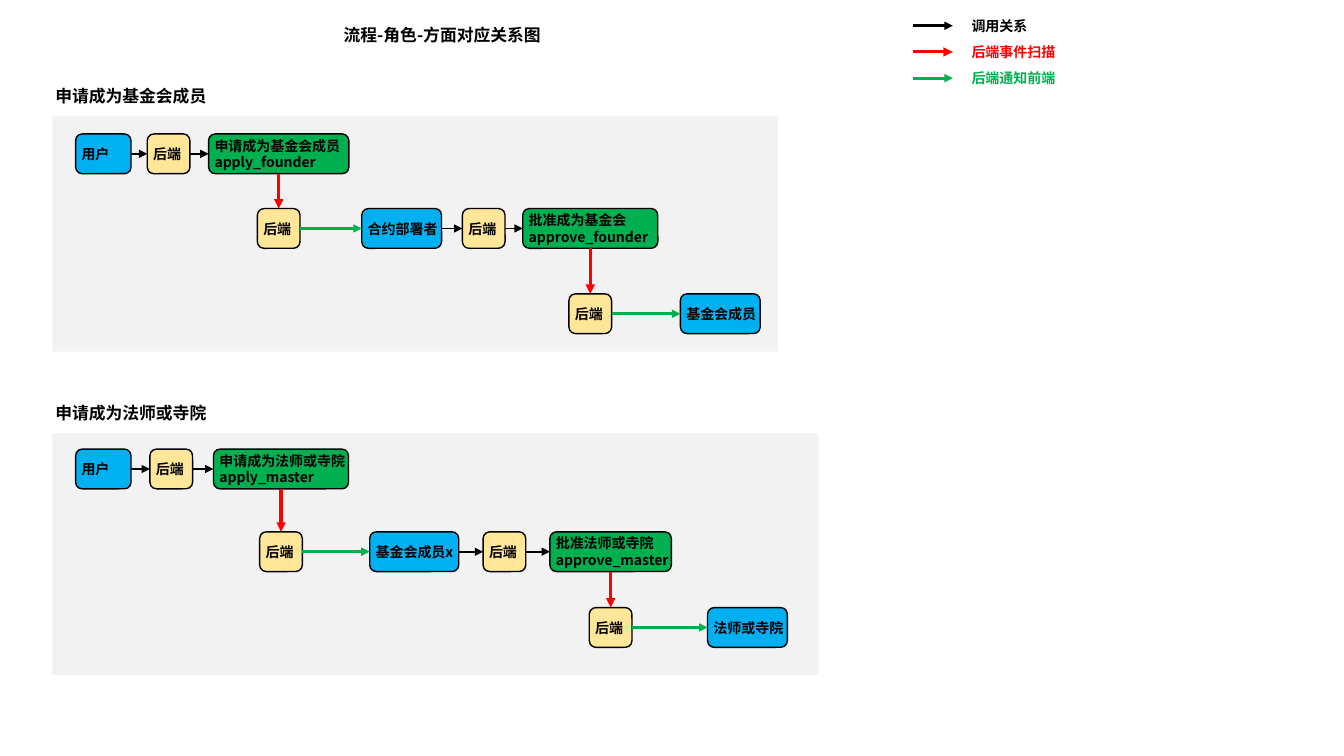
"""Build the slide that maps steps, roles and calls."""
from lxml.etree import SubElement
from pptx import Presentation
from pptx.dml.color import RGBColor
from pptx.enum.shapes import MSO_CONNECTOR, MSO_SHAPE
from pptx.enum.text import MSO_ANCHOR, MSO_AUTO_SIZE, PP_ALIGN
from pptx.oxml.ns import qn
from pptx.util import Pt

FONT = "Noto Sans CJK SC"
BLACK = RGBColor(0x00, 0x00, 0x00)
RED = RGBColor(0xFF, 0x00, 0x00)
GREEN = RGBColor(0x00, 0xB0, 0x50)
BLUE = RGBColor(0x00, 0xB0, 0xF0)
SAND = RGBColor(0xFF, 0xE6, 0x99)
GREY = RGBColor(0xF2, 0xF2, 0xF2)

HIGH = 28.4
BACK_WIDE = 30.5
PAD = 2.88

LEGEND = [
    ("调用关系", BLACK, 2, 61.2),
    ("后端事件扫描", RED, 2.25, 76.3),
    ("后端通知前端", GREEN, 2, 76.3),
]

FOUNDER = [
    (95.7, [(54, 39.6, BLUE, "用户"), (105.2, BACK_WIDE, SAND, "后端"),
            (149, 100.2, GREEN, "申请成为基金会成员\napply_founder")]),
    (149, [(258.4, 57, BLUE, "合约部署者"), (330.3, BACK_WIDE, SAND, "后端"),
           (373.4, 96.5, GREEN, "批准成为基金会\napprove_founder")]),
    (209.9, [(486, 57, BLUE, "基金会成员")]),
]

MASTER = [
    (320.8, [(54, 39.6, BLUE, "用户"), (107.1, BACK_WIDE, SAND, "后端"),
             (152.5, 96.5, GREEN, "申请成为法师或寺院\napply_master")]),
    (379.9, [(264.1, 63.6, BLUE, "基金会成员x"), (345.1, BACK_WIDE, SAND, "后端"),
             (392.8, 86.8, GREEN, "批准法师或寺院\napprove_master")]),
    (434, [(505.4, 57, BLUE, "法师或寺院")]),
]


def write(frame, text, size=10, color=BLACK, wrap=True):
    """Fill a text frame with bold lines of text."""
    frame.word_wrap = wrap
    for num, line in enumerate(text.split("\n")):
        para = frame.add_paragraph() if num else frame.paragraphs[0]
        para.alignment = PP_ALIGN.LEFT
        run = para.add_run()
        run.text = line
        run.font.size = Pt(size)
        run.font.bold = True
        run.font.color.rgb = color
        run.font.name = FONT
        SubElement(run._r.get_or_add_rPr(), qn("a:ea"), typeface=FONT)


def label(shapes, text, left, top, wide, high, **form):
    """Add a text box that grows with its text."""
    frame = shapes.add_textbox(Pt(left), Pt(top), Pt(wide), Pt(high)).text_frame
    write(frame, text, **form)
    frame.auto_size = MSO_AUTO_SIZE.SHAPE_TO_FIT_TEXT


def panel(shapes, kind, left, top, wide, high, fill):
    """Add a plain filled shape."""
    shape = shapes.add_shape(kind, Pt(left), Pt(top), Pt(wide), Pt(high))
    shape.shadow.inherit = False
    shape.fill.solid()
    shape.fill.fore_color.rgb = fill
    shape.line.fill.background()
    return shape


def node(shapes, left, top, wide, fill, text):
    """Add a rounded box for a role or a call."""
    shape = panel(shapes, MSO_SHAPE.ROUNDED_RECTANGLE, left, top, wide, HIGH, fill)
    shape.line.color.rgb = BLACK
    shape.line.width = Pt(1)
    frame = shape.text_frame
    frame.margin_left = frame.margin_right = Pt(PAD)
    frame.margin_top = frame.margin_bottom = Pt(PAD)
    frame.vertical_anchor = MSO_ANCHOR.MIDDLE
    write(frame, text, wrap=False)


def arrow(shapes, start, end, color, width):
    """Add a straight arrow between two points."""
    ends = [Pt(num) for num in (*start, *end)]
    link = shapes.add_connector(MSO_CONNECTOR.STRAIGHT, *ends)
    link.line.color.rgb = color
    link.line.width = Pt(width)
    SubElement(link.line._get_or_add_ln(), qn("a:tailEnd"), type="triangle")
    SubElement(link._element.spPr, qn("a:effectLst"))


def flow(shapes, title, top, wide, high, rows):
    """Draw one titled panel with its rows of linked boxes."""
    panel(shapes, MSO_SHAPE.RECTANGLE, 37.4, top, wide, high, GREY)
    label(shapes, title, 32.4, top - 25.4, 123.8, 21.6, size=12)
    mid = base = None
    for row, (y, nodes) in enumerate(rows):
        if row:
            arrow(shapes, (mid, base), (mid, y), RED, 2.25)
            nodes = [(mid - BACK_WIDE / 2, BACK_WIDE, SAND, "后端"), *nodes]
        for num, (left, span, fill, text) in enumerate(nodes):
            node(shapes, left, y, span, fill, text)
            if num:
                form = (GREEN, 2) if row and num == 1 else (BLACK, 1.25)
                level = y + HIGH / 2
                arrow(shapes, (edge, level), (left, level), *form)
            edge = left + span
        mid, base = left + span / 2, y + HIGH


def legend(shapes):
    """Draw the key to the arrow colours."""
    for num, (text, color, width, wide) in enumerate(LEGEND):
        group = shapes.add_group_shape().shapes
        y = 18.4 + 18.7 * num
        arrow(group, (652.2, y), (680.6, y), color, width)
        label(group, text, 686.9, y - 9.7, wide, 19.4, color=color)


def main():
    """Build and save the slide."""
    deck = Presentation()
    deck.slide_width, deck.slide_height = Pt(960), Pt(540)
    shapes = deck.slides.add_slide(deck.slide_layouts[6]).shapes
    label(shapes, "流程-角色-方面对应关系图", 238.3, 14.4, 159.8, 21.6, size=12)
    flow(shapes, "申请成为基金会成员", 82.8, 518.4, 168.5, FOUNDER)
    flow(shapes, "申请成为法师或寺院", 309.6, 547.2, 172.5, MASTER)
    legend(shapes)
    deck.save("out.pptx")


if __name__ == "__main__":
    main()
